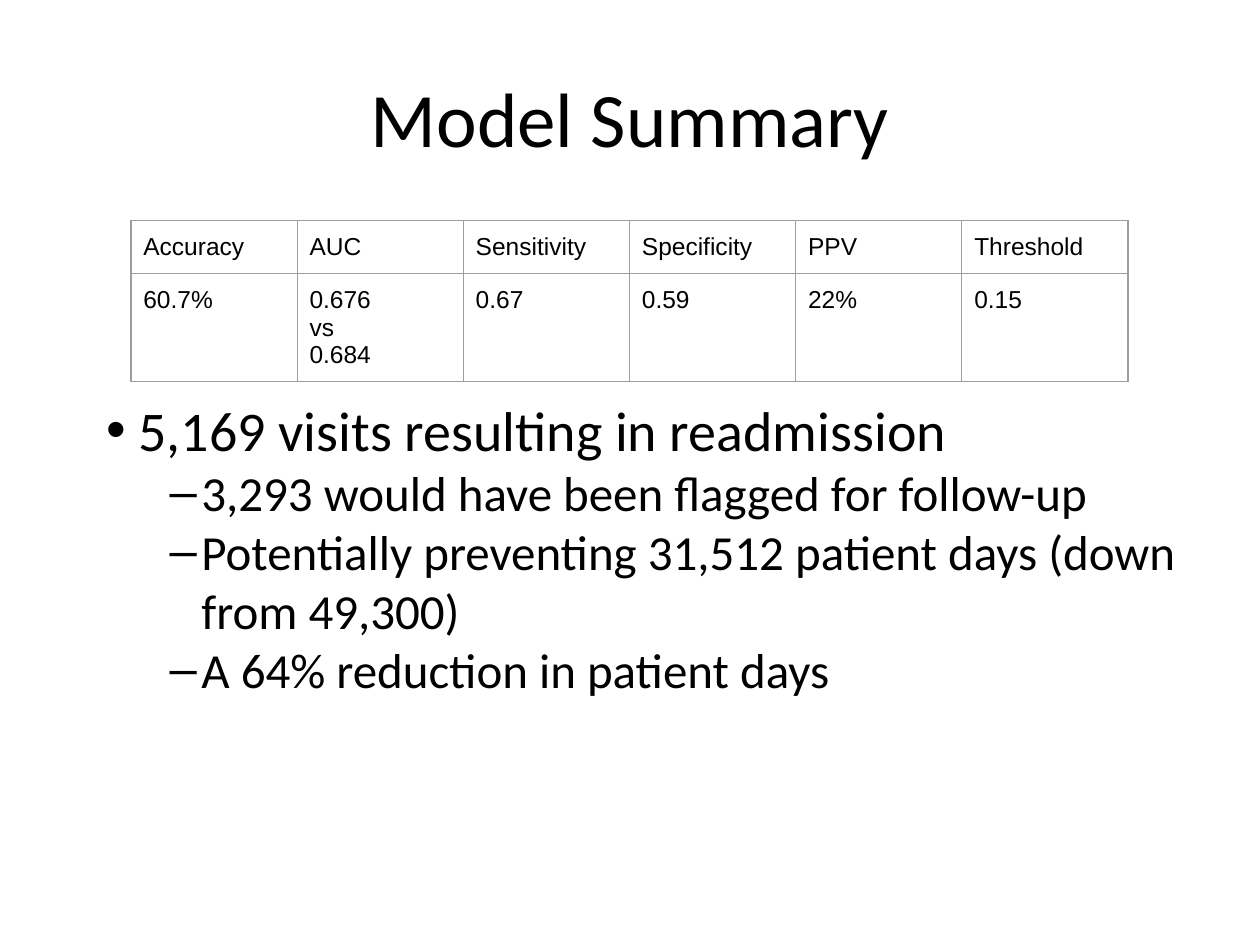
from lxml import etree
from pptx import Presentation
from pptx.dml.color import RGBColor
from pptx.enum.text import MSO_ANCHOR, MSO_AUTO_SIZE, PP_ALIGN
from pptx.oxml.ns import qn
from pptx.util import Cm, Pt

BLACK = RGBColor(0x00, 0x00, 0x00)
GREY = RGBColor(0x9E, 0x9E, 0x9E)
CENTER = PP_ALIGN.CENTER
MIDDLE, TOP = MSO_ANCHOR.MIDDLE, MSO_ANCHOR.TOP
NO_AUTOFIT = MSO_AUTO_SIZE.NONE
INSET = Cm(0.25)

METRICS = [
    ("Accuracy", "60.7%"),
    ("AUC", "0.676\nvs\n0.684"),
    ("Sensitivity", "0.67"),
    ("Specificity", "0.59"),
    ("PPV", "22%"),
    ("Threshold", "0.15"),
]
FINDINGS = [
    (0, "5,169 visits resulting in readmission"),
    (1, "3,293 would have been flagged for follow-up"),
    (1, "Potentially preventing 31,512 patient days (down from 49,300)"),
    (1, "A 64% reduction in patient days"),
]


def format_text(para, font_name, size):
    for span in para.runs:
        span.font.name = font_name
        span.font.size = Pt(size)
        span.font.color.rgb = BLACK
        span.font.bold = False


def add_borders(cell):
    properties = cell._tc.get_or_add_tcPr()
    for side in ("lnL", "lnR", "lnT", "lnB"):
        line = etree.SubElement(properties, qn(f"a:{side}"), w=str(Pt(0.75)))
        fill = etree.SubElement(line, qn("a:solidFill"))
        etree.SubElement(fill, qn("a:srgbClr"), val=str(GREY))


deck = Presentation()
deck.slide_width, deck.slide_height = Cm(25.4), Cm(19.05)
page = deck.slides.add_slide(deck.slide_layouts[1])
title, body = page.placeholders

# Title and list placeholders
for box, top, height, anchor in ((title, 0.76, 3.18, MIDDLE), (body, 7.72, 9.3, TOP)):
    box.left, box.top, box.width, box.height = Cm(1.27), Cm(top), Cm(22.86), Cm(height)
    frame = box.text_frame
    frame.margin_left = frame.margin_right = INSET
    frame.margin_top = frame.margin_bottom = INSET
    frame.vertical_anchor = anchor
    frame.word_wrap = True
    frame.auto_size = NO_AUTOFIT

title.text_frame.text = "Model Summary"
title_para = title.text_frame.paragraphs[0]
title_para.alignment = CENTER
format_text(title_para, "Calibri", 44)

body.text_frame.text = "\n".join(text for level, text in FINDINGS)
for para, (level, text) in zip(body.text_frame.paragraphs, FINDINGS):
    para.level = level
    para.space_before = Pt(0)
    format_text(para, "Calibri", 32 - 4 * level)
    properties = para._p.get_or_add_pPr()
    properties.set("marL", str(Cm(1.27 * (level + 1))))
    properties.set("indent", str(-Cm(0.64)))
    bullet_color = etree.SubElement(properties, qn("a:buClr"))
    etree.SubElement(bullet_color, qn("a:srgbClr"), val=str(BLACK))
    etree.SubElement(properties, qn("a:buChar"), char="•–"[level])

# Table of model metrics
column_width = Cm(3.35)
table = page.shapes.add_table(
    2, len(METRICS), Cm(2.64), Cm(4.45), column_width * len(METRICS), Cm(3.24)
).table
table.first_row = table.horz_banding = False
table.rows[0].height, table.rows[1].height = Cm(1.07), Cm(2.17)
for column, metric in enumerate(METRICS):
    table.columns[column].width = column_width
    for row, text in enumerate(metric):
        cell = table.cell(row, column)
        cell.text_frame.text = text
        cell.margin_left = cell.margin_right = INSET
        cell.margin_top = cell.margin_bottom = INSET
        add_borders(cell)
        cell.fill.background()
        for para in cell.text_frame.paragraphs:
            format_text(para, "Arial", 14)

deck.save("out.pptx")
